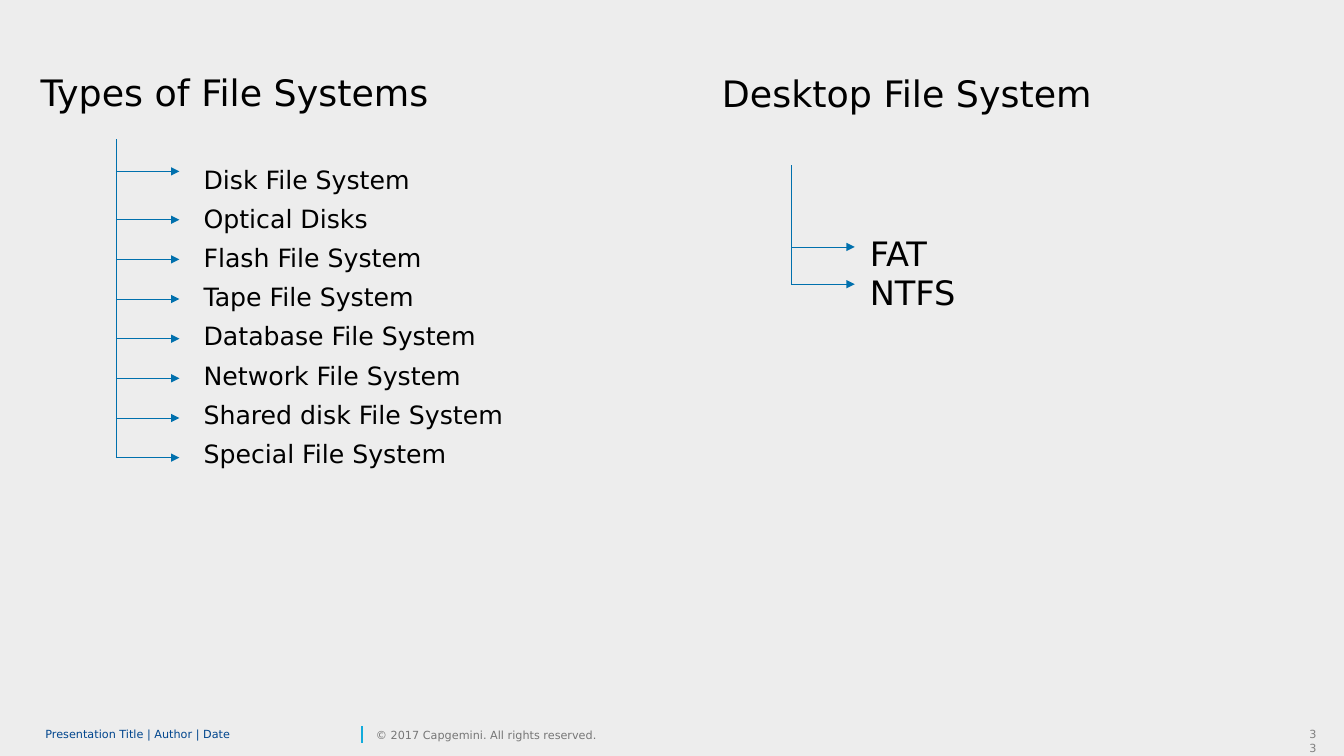
from dataclasses import dataclass

from lxml import etree
from pptx import Presentation
from pptx.dml.color import RGBColor
from pptx.enum import shapes, text
from pptx.oxml import ns
from pptx.slide import Slide
from pptx.util import Pt

FONT = "DejaVu Sans"
BACKGROUND = RGBColor(0xED, 0xED, 0xED)
BLACK = RGBColor(0x00, 0x00, 0x00)
BRANCH_BLUE = RGBColor(0x00, 0x70, 0xAD)
DIVIDER_CYAN = RGBColor(0x12, 0xAB, 0xDB)
FOOTER_BLUE = RGBColor(0x00, 0x45, 0x8D)
COPYRIGHT_GREY = RGBColor(0x76, 0x76, 0x76)
NUMBER_GREY = RGBColor(0x80, 0x80, 0x80)

BRANCH_LENGTH = 45.36


@dataclass(frozen=True)
class Label:
    lines: list[str]
    left: float
    top: float
    width: float
    height: float
    size: float
    color: RGBColor = BLACK
    align: text.PP_ALIGN = text.PP_ALIGN.LEFT
    anchor: text.MSO_ANCHOR = text.MSO_ANCHOR.TOP
    line_spacing: float | Pt | None = None
    space_after: float = 0
    inset_x: float = 0
    inset_y: float = 0


@dataclass(frozen=True)
class Tree:
    """A vertical trunk with an arrow to the right at each branch height."""
    left: float
    top: float
    branches: list[float]


def title(words: str, left: float, top: float) -> Label:
    return Label([words], left, top, 895.68, 67.68, 26,
                 align=text.PP_ALIGN.CENTER, line_spacing=0.9)


def entries(names: list[str], left: float, top: float, height: float,
            size: float) -> Label:
    return Label(names, left, top, 676.8, height, size,
                 line_spacing=Pt(22), space_after=6)


LABELS = [
    Label(["33"], 928.08, 516.24, 19.44, 17.28, 8, NUMBER_GREY,
          text.PP_ALIGN.RIGHT, inset_x=7.2, inset_y=3.6),
    Label(["Presentation Title | Author | Date"], 32.4, 516.24, 222.48, 17.28,
          8, FOOTER_BLUE, anchor=text.MSO_ANCHOR.MIDDLE, line_spacing=0.85),
    Label(["© 2017 Capgemini. All rights reserved."], 268.56, 516.24, 174.96,
          17.28, 8, COPYRIGHT_GREY, anchor=text.MSO_ANCHOR.MIDDLE),
    title("Types of File Systems", -280.08, 54),
    entries(["Disk File System", "Optical Disks", "Flash File System",
             "Tape File System", "Database File System",
             "Network File System", "Shared disk File System",
             "Special File System"], 145.44, 116.64, 324, 18),
    title("Desktop File System", 200.16, 54.72),
    entries(["FAT", "NTFS"], 621.36, 172.8, 195.12, 24),
]

TREES = [
    Tree(82.8, 99.36, [122.4] + [156.96 + 28.32 * row for row in range(7)]),
    Tree(565.2, 118.08, [176.4, 203.04]),
]


def draw_label(slide: Slide, label: Label) -> None:
    box = slide.shapes.add_textbox(Pt(label.left), Pt(label.top),
                                   Pt(label.width), Pt(label.height))
    frame = box.text_frame
    frame.text = "\n".join(label.lines)
    frame.word_wrap = True
    frame.vertical_anchor = label.anchor
    frame.margin_left = frame.margin_right = Pt(label.inset_x)
    frame.margin_top = frame.margin_bottom = Pt(label.inset_y)
    for paragraph in frame.paragraphs:
        paragraph.alignment = label.align
        paragraph.line_spacing = label.line_spacing
        paragraph.space_after = Pt(label.space_after)
        for run in paragraph.runs:
            run.font.name = FONT
            run.font.size = Pt(label.size)
            run.font.color.rgb = label.color


def draw_line(slide: Slide, x1: float, y1: float, x2: float, y2: float,
              color: RGBColor, weight: float, arrow: bool = False) -> None:
    line = slide.shapes.add_connector(shapes.MSO_CONNECTOR.STRAIGHT,
                                      Pt(x1), Pt(y1), Pt(x2), Pt(y2))
    line.line.color.rgb = color
    line.line.width = Pt(weight)
    if arrow:
        etree.SubElement(line.line._get_or_add_ln(), ns.qn("a:tailEnd"),
                         type="triangle")
    etree.SubElement(line._element.spPr, ns.qn("a:effectLst"))


def draw_tree(slide: Slide, tree: Tree) -> None:
    draw_line(slide, tree.left, tree.top, tree.left, tree.branches[-1],
              BRANCH_BLUE, 0.5)
    for y in tree.branches:
        draw_line(slide, tree.left, y, tree.left + BRANCH_LENGTH, y,
                  BRANCH_BLUE, 0.5, arrow=True)


def main() -> None:
    deck = Presentation()
    deck.slide_width, deck.slide_height = Pt(960), Pt(540)
    slide = deck.slides.add_slide(deck.slide_layouts[6])
    slide.background.fill.solid()
    slide.background.fill.fore_color.rgb = BACKGROUND
    draw_line(slide, 258.48, 530.64, 258.48, 518.4, DIVIDER_CYAN, 1)
    for label in LABELS:
        draw_label(slide, label)
    for tree in TREES:
        draw_tree(slide, tree)
    deck.save("out.pptx")


if __name__ == "__main__":
    main()
